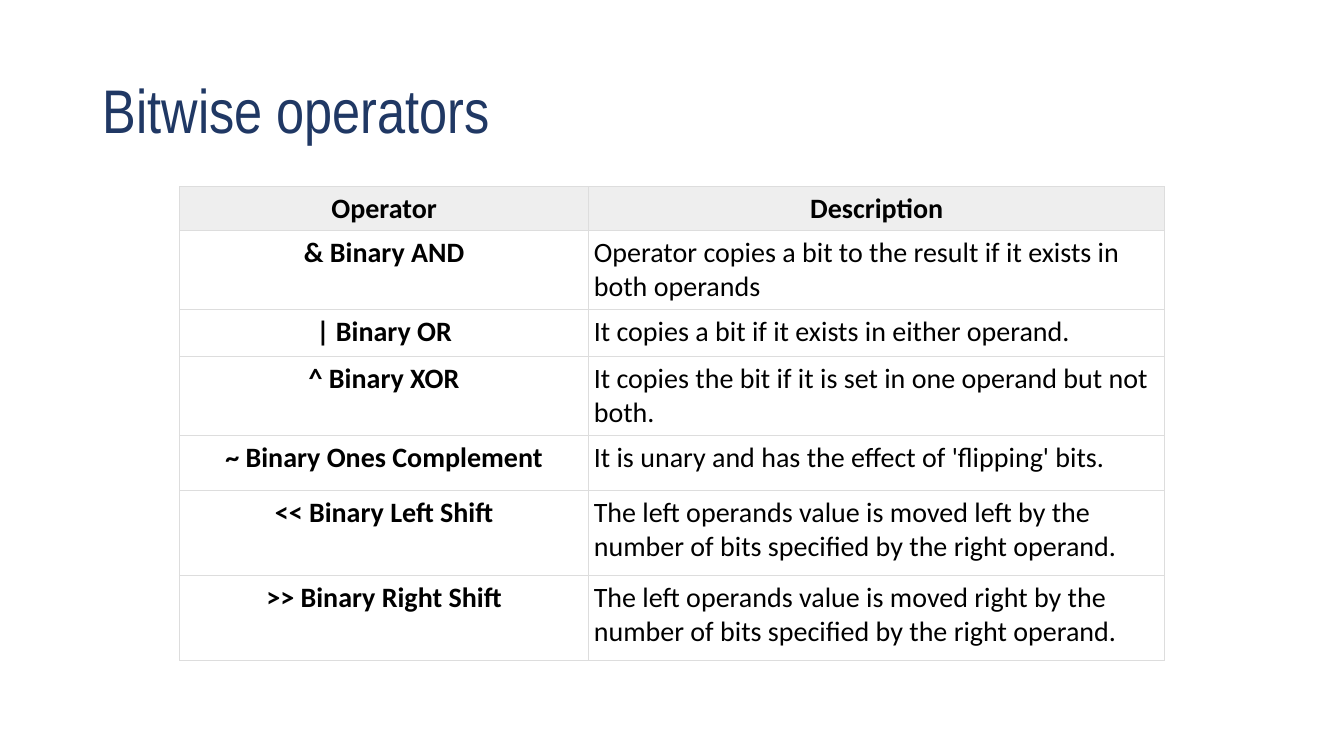
from lxml.etree import SubElement
from pptx import Presentation
from pptx.dml.color import RGBColor
from pptx.enum.text import MSO_ANCHOR, PP_ALIGN
from pptx.oxml.ns import qn
from pptx.util import Pt

PX = 9144
COLORS = {"title": "203864", "text": "000000", "header": "EEEEEE", "border": "DDDDDD"}
COLUMN_WIDTHS = [406, 571]
ROW_HEIGHTS = [44, 78, 47, 78, 55, 84, 84]
OPERATORS = [
    ("Operator", "Description"),
    ("& Binary AND", "Operator copies a bit to the result if it exists in both operands"),
    ("| Binary OR", "It copies a bit if it exists in either operand."),
    ("^ Binary XOR", "It copies the bit if it is set in one operand but not both."),
    ("~ Binary Ones Complement", "It is unary and has the effect of 'flipping' bits."),
    ("<< Binary Left Shift",
     "The left operands value is moved left by the number of bits specified by the right operand."),
    (">> Binary Right Shift",
     "The left operands value is moved right by the number of bits specified by the right operand."),
]


def px(*lengths):
    """Turn pixel lengths into EMU."""
    return [length * PX for length in lengths]


def write(tf, text, font, size, color, bold=False, align=PP_ALIGN.LEFT):
    """Write one formatted paragraph and return it."""
    tf.text = text
    p = tf.paragraphs[0]
    p.alignment = align
    r = p.runs[0]
    r.font.name = font
    r.font.size = Pt(size)
    r.font.bold = bold
    r.font.color.rgb = RGBColor.from_string(COLORS[color])
    return p


def add_title(s, text):
    """Add the slide title."""
    tf = s.shapes.add_textbox(*px(92, 40, 1150, 145)).text_frame
    tf.word_wrap = True
    tf.vertical_anchor = MSO_ANCHOR.MIDDLE
    write(tf, text, "Arial Narrow", 44, "title").line_spacing = 0.9


def set_borders(cell):
    """Draw a thin line on all four sides of a cell."""
    tcPr = cell._tc.get_or_add_tcPr()
    for side in ("lnL", "lnR", "lnT", "lnB"):
        ln = SubElement(tcPr, qn(f"a:{side}"), w=str(Pt(0.75)))
        fill = SubElement(ln, qn("a:solidFill"))
        SubElement(fill, qn("a:srgbClr"), val=COLORS["border"])


def format_cell(cell, text, is_header, is_operator):
    """Fill in and style one table cell."""
    cell.margin_left = cell.margin_right = cell.margin_top = cell.margin_bottom = 5 * PX
    set_borders(cell)
    if is_header:
        cell.fill.solid()
        cell.fill.fore_color.rgb = RGBColor.from_string(COLORS["header"])
    else:
        cell.fill.background()
    strong = is_header or is_operator
    align = PP_ALIGN.CENTER if strong else PP_ALIGN.LEFT
    write(cell.text_frame, text, "Calibri", 20, "text", strong, align)


def add_operator_table(s):
    """Add the table of operators and their descriptions."""
    box = px(178, 185, sum(COLUMN_WIDTHS), sum(ROW_HEIGHTS))
    table = s.shapes.add_table(len(OPERATORS), len(COLUMN_WIDTHS), *box).table
    table.horz_banding = False
    for column, width in zip(table.columns, COLUMN_WIDTHS):
        column.width = width * PX
    for i, (row, height) in enumerate(zip(table.rows, ROW_HEIGHTS)):
        row.height = height * PX
        for j, cell in enumerate(row.cells):
            format_cell(cell, OPERATORS[i][j], i == 0, j == 0)


def main():
    """Build and save the slide."""
    prs = Presentation()
    prs.slide_width, prs.slide_height = px(1333, 750)
    s = prs.slides.add_slide(prs.slide_layouts[6])
    add_title(s, "Bitwise operators")
    add_operator_table(s)
    prs.save("out.pptx")


if __name__ == "__main__":
    main()
